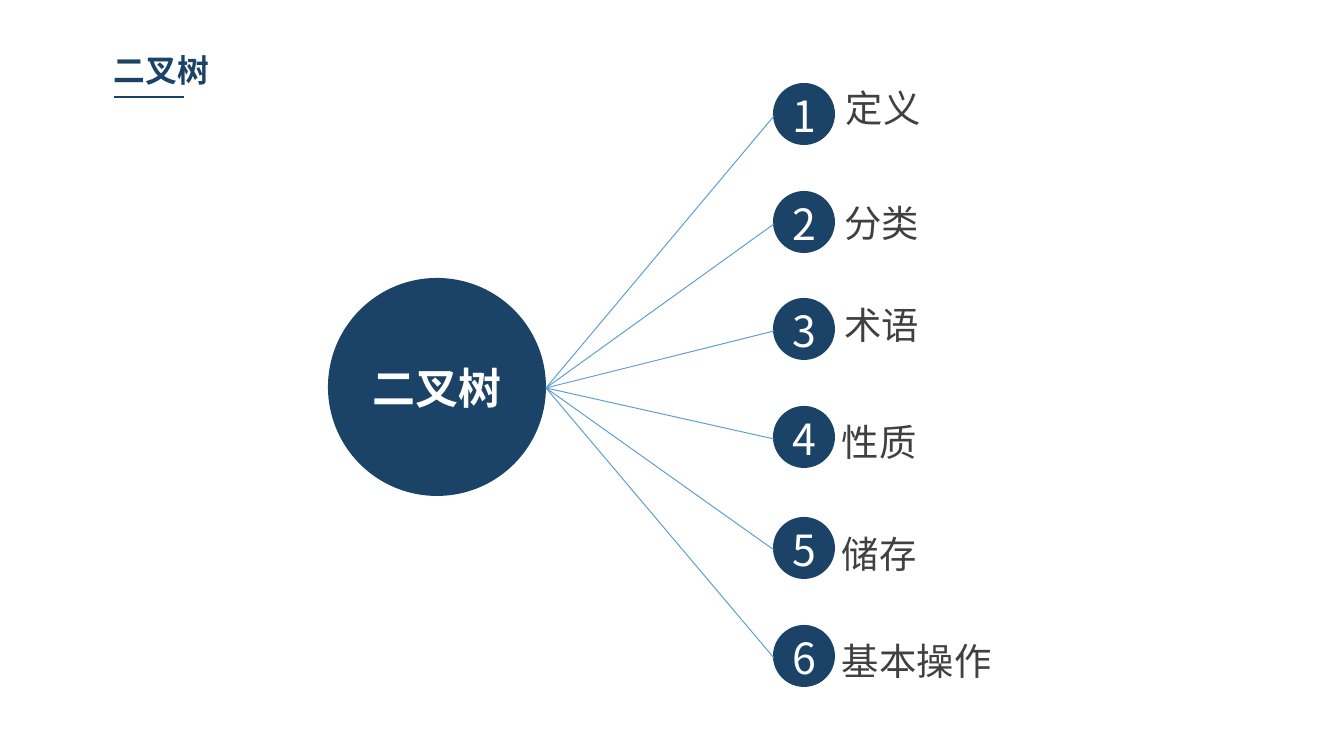
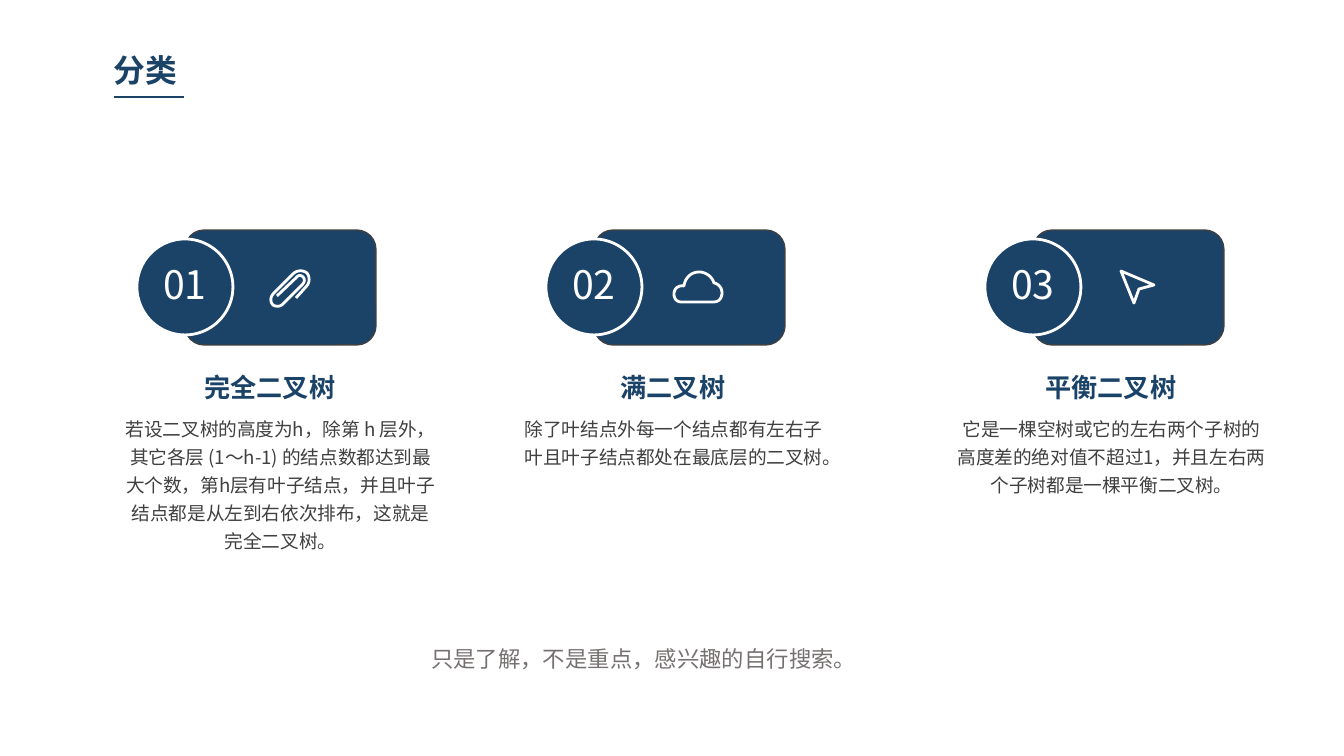
from dataclasses import dataclass

from lxml.etree import SubElement
from pptx import Presentation
from pptx.dml.color import RGBColor
from pptx.enum.shapes import MSO_CONNECTOR, MSO_SHAPE
from pptx.enum.text import MSO_ANCHOR, MSO_AUTO_SIZE, PP_ALIGN
from pptx.oxml.ns import qn
from pptx.util import Emu, Pt

NAVY = RGBColor(0x1B, 0x43, 0x67)
SKY = RGBColor(0x5B, 0x9B, 0xD5)
INK = RGBColor(0x40, 0x40, 0x40)
GRAY = RGBColor(0x76, 0x71, 0x71)
WHITE = RGBColor(0xFF, 0xFF, 0xFF)

FONT = "Noto Sans CJK SC"
EMU_PER_PX = 914400 / 134.4
WIDE_INSETS = (13, 7)
TIGHT_INSETS = (9, 5)
TITLE_ONLY = 5


def px(length):
    return Emu(round(length * EMU_PER_PX))


def place(box):
    return [px(length) for length in box]


# Text helpers
def write(shape, text, size, color, bold=False, align=PP_ALIGN.LEFT,
          spacing=None, insets=WIDE_INSETS, anchor=MSO_ANCHOR.TOP,
          wrap=True, fit=MSO_AUTO_SIZE.SHAPE_TO_FIT_TEXT):
    frame = shape.text_frame
    frame.word_wrap = wrap
    frame.auto_size = fit
    frame.vertical_anchor = anchor
    frame.margin_left = frame.margin_right = px(insets[0])
    frame.margin_top = frame.margin_bottom = px(insets[1])
    paragraph = frame.paragraphs[0]
    paragraph.alignment = align
    if spacing:
        paragraph.line_spacing = spacing
    run = paragraph.add_run()
    run.text = text
    run.font.size = Pt(size)
    run.font.bold = bold
    run.font.color.rgb = color
    run.font.name = FONT
    SubElement(run.font._element, qn("a:ea")).set("typeface", FONT)


def add_text(slide, box, text, size, color, **style):
    shape = slide.shapes.add_textbox(*place(box))
    write(shape, text, size, color, **style)
    return shape


# Drawing helpers
def add_filled(slide, kind, box, line_color=None, line_width=0):
    shape = slide.shapes.add_shape(kind, *place(box))
    shape.shadow.inherit = False
    shape.fill.solid()
    shape.fill.fore_color.rgb = NAVY
    if line_color is None:
        shape.line.fill.background()
    else:
        shape.line.color.rgb = line_color
        shape.line.width = Pt(line_width)
    return shape


def add_line(slide, color, width, start=(0, 0), end=(0, 0)):
    line = slide.shapes.add_connector(MSO_CONNECTOR.STRAIGHT,
                                      *place(start + end))
    line.line.color.rgb = color
    line.line.width = Pt(width)
    SubElement(line._element.spPr, qn("a:effectLst"))
    return line


def curve_points(start, bend_out, bend_in, end, steps=8):
    controls = (start, bend_out, bend_in, end)
    for step in range(1, steps + 1):
        t = step / steps
        weights = ((1 - t) ** 3, 3 * t * (1 - t) ** 2,
                   3 * t * t * (1 - t), t ** 3)
        yield tuple(sum(weight * point[axis]
                        for weight, point in zip(weights, controls))
                    for axis in (0, 1))


@dataclass
class Icon:
    """Stroked outline; a step of one point is a line, of three a curve."""
    start: tuple
    steps: list
    closed: bool


PAPERCLIP = Icon((26, 29), [
    [(36, 18)],
    [(40, 14), (40, 8), (37, 4)], [(33, 1), (27, 1), (23, 5)],
    [(4, 24)],
    [(0, 28), (0, 33), (3, 36)], [(6, 38), (11, 38), (14, 34)],
    [(32, 16)],
    [(35, 13), (35, 10), (33, 8)], [(31, 6), (28, 6), (26, 9)],
    [(7, 27)],
], False)
CLOUD = Icon((8, 31), [
    [(41, 31)],
    [(46, 31), (49, 27), (49, 22)], [(49, 17), (46, 13), (41, 12)],
    [(39, 5), (32, 1), (26, 1)], [(18, 1), (12, 7), (11, 15)],
    [(5, 14), (1, 18), (1, 23)], [(1, 28), (4, 31), (8, 31)],
], True)
CURSOR = Icon((2, 2), [[(35, 16)], [(20, 20)], [(15, 34)]], True)


def add_icon(slide, icon, left, top):
    points = [icon.start]
    for step in icon.steps:
        points += step if len(step) == 1 else curve_points(points[-1], *step)
    builder = slide.shapes.build_freeform(*place(icon.start), scale=1)
    builder.add_line_segments([place(point) for point in points[1:]],
                              close=icon.closed)
    shape = builder.convert_to_shape(px(left), px(top))
    shape.shadow.inherit = False
    shape.fill.background()
    shape.line.color.rgb = WHITE
    shape.line.width = Pt(1.5)


# Shared title with its underline
def add_titled_slide(presentation, title):
    slide = presentation.slides.add_slide(
        presentation.slide_layouts[TITLE_ONLY])
    heading = slide.shapes.title
    heading.left, heading.top, heading.width, heading.height = place(
        (105, 46, 332, 48))
    write(heading, title, 17, NAVY, bold=True, insets=TIGHT_INSETS)
    add_line(slide, NAVY, 0.75, (114, 97), (184, 97))
    return slide


# Overview: a hub linked to numbered topics
TOPICS = [  # topic, badge top, label left and top
    ("定义", 83, 837, 97),
    ("分类", 191, 835, 212),
    ("术语", 298, 835, 314),
    ("性质", 406, 833, 431),
    ("储存", 517, 833, 543),
    ("基本操作", 625, 833, 650),
]


def add_hub(slide, left, top, size):
    add_filled(slide, MSO_SHAPE.OVAL, (left, top, size, size))
    return add_text(slide, (left, top + 77, size, 66), "二叉树", 23, WHITE,
                    bold=True, align=PP_ALIGN.CENTER)


def add_badge(slide, left, top, number):
    add_filled(slide, MSO_SHAPE.OVAL, (left, top, 62, 62))
    return add_text(slide, (left + 1, top, 61, 66), str(number), 23, WHITE,
                    align=PP_ALIGN.CENTER)


def build_overview(presentation):
    slide = add_titled_slide(presentation, "二叉树")
    hub = add_hub(slide, 328, 278, 218)
    for number, (topic, top, label_left, label_top) in enumerate(TOPICS, 1):
        badge = add_badge(slide, 773, top, number)
        add_text(slide, (label_left, label_top, 1016 - label_left, 40), topic,
                 20, INK, spacing=Pt(15), insets=TIGHT_INSETS)
        link = add_line(slide, SKY, 0.5)
        link.begin_connect(hub, 3)
        link.end_connect(badge, 1)


# Kinds: three cards with icon, heading and description
@dataclass
class Kind:
    left: int
    icon: Icon
    icon_offset: tuple
    heading: str
    heading_offset: int
    heading_width: int
    description: str
    description_offset: int
    description_height: int


KINDS = [
    Kind(137, PAPERCLIP, (133, 39), "完全二叉树", 57, 152,
         "若设二叉树的高度为h，除第 h 层外，其它各层 (1～h-1) 的结点数都达到"
         "最大个数，第h层有叶子结点，并且叶子结点都是从左到右依次排布，"
         "这就是完全二叉树。", -23, 149),
    Kind(546, CLOUD, (127, 41), "满二叉树", 64, 126,
         "除了叶结点外每一个结点都有左右子叶且叶子结点都处在最底层的二叉树。",
         -39, 65),
    Kind(985, CURSOR, (134, 39), "平衡二叉树", 50, 152,
         "它是一棵空树或它的左右两个子树的高度差的绝对值不超过1，"
         "并且左右两个子树都是一棵平衡二叉树。", -40, 93),
]


def add_card(slide, kind, number, top):
    left = kind.left
    add_filled(slide, MSO_SHAPE.ROUNDED_RECTANGLE,
               (left + 48, top, 191, 115), INK, 0.75)
    disc = add_filled(slide, MSO_SHAPE.OVAL, (left, top + 9, 96, 96),
                      WHITE, 1.5)
    write(disc, f"{number:02}", 21, WHITE, align=PP_ALIGN.CENTER, spacing=0.9,
          insets=(6, 6), anchor=MSO_ANCHOR.MIDDLE, fit=MSO_AUTO_SIZE.NONE)
    add_icon(slide, kind.icon, left + kind.icon_offset[0],
             top + kind.icon_offset[1])
    add_text(slide, (left + kind.heading_offset, top + 136,
                     kind.heading_width, 42), kind.heading, 14, NAVY,
             bold=True, align=PP_ALIGN.CENTER, insets=TIGHT_INSETS, wrap=False)
    add_text(slide, (left + kind.description_offset, top + 177,
                     333, kind.description_height), kind.description, 10, INK,
             align=PP_ALIGN.CENTER, spacing=Pt(15), insets=TIGHT_INSETS)


def build_kinds(presentation):
    slide = add_titled_slide(presentation, "分类")
    for number, kind in enumerate(KINDS, 1):
        add_card(slide, kind, number, 230)
    add_text(slide, (418, 638, 526, 40),
             "只是了解，不是重点，感兴趣的自行搜索。", 12, GRAY)


def main():
    presentation = Presentation()
    presentation.slide_width, presentation.slide_height = place((1344, 756))
    build_overview(presentation)
    build_kinds(presentation)
    presentation.save("out.pptx")


if __name__ == "__main__":
    main()
